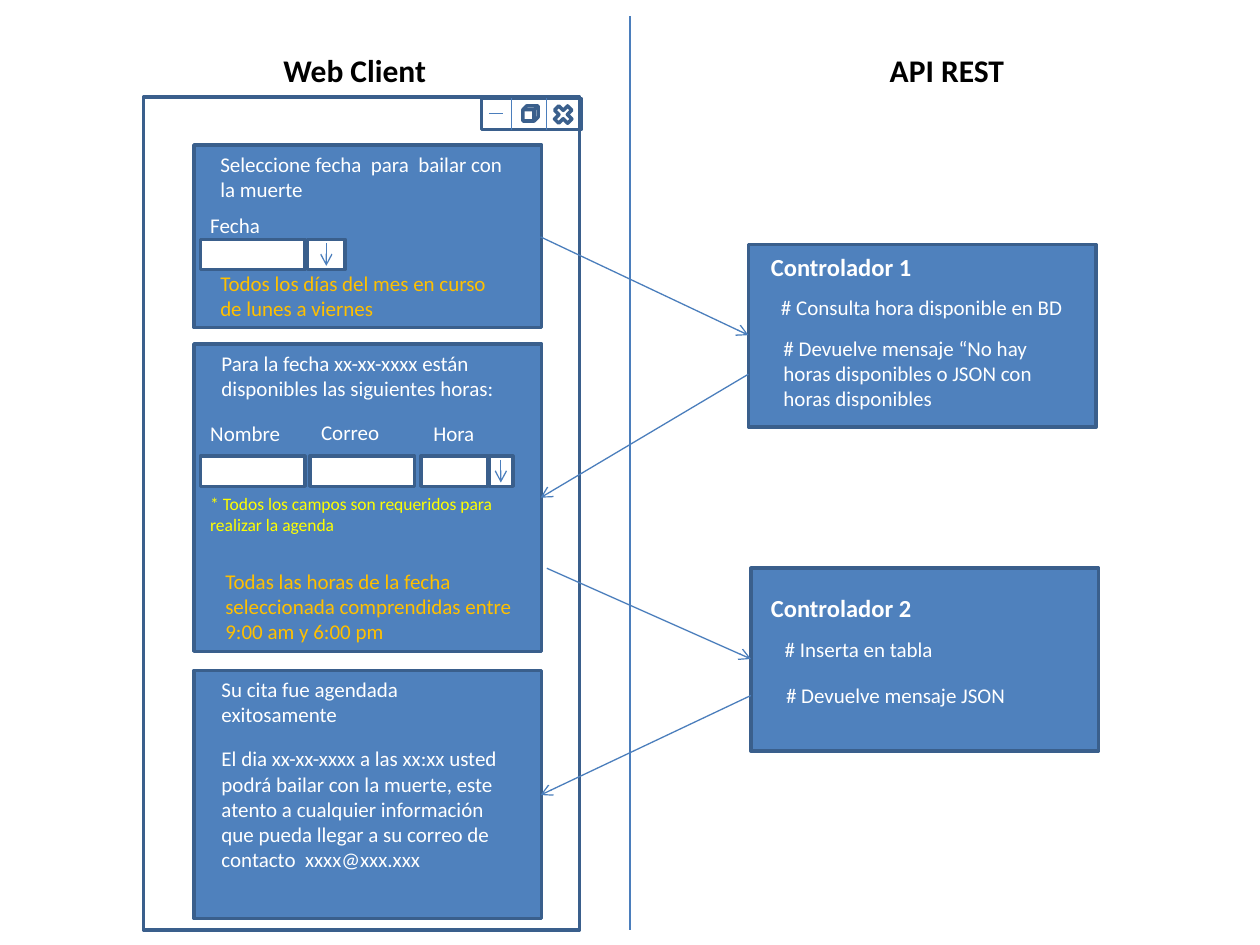
from pptx import Presentation
from pptx.dml.color import RGBColor as Rgb
from pptx.enum.shapes import MSO_CONNECTOR as Link, MSO_SHAPE as Form
from pptx.enum.text import MSO_AUTO_SIZE as Fit, PP_ALIGN as Align
from pptx.oxml.ns import qn
from pptx.util import Inches, Pt
from lxml.etree import SubElement as Sub

WIDE, HIGH = Inches(10), Inches(7.5)
COLS, ROWS = 100, 75
HUES = {"ink": "000000", "paper": "FFFFFF", "panel": "4F81BD", "edge": "3A5F8C",
        "link": "4B7EBC", "rule": "FFC000", "note": "FFFF00"}
FONT = "Calibri"
PANEL = 27.6
FIELD = 2.4


def hue(name):
    return Rgb.from_string(HUES[name])


def col(n):
    return round(WIDE * n / COLS)


def row(n):
    return round(HIGH * n / ROWS)


def box(shapes, x, y, w, h, fill=None, form=Form.RECTANGLE):
    item = shapes.add_shape(form, col(x), row(y), col(w), row(h))
    item.shadow.inherit = False
    if fill:
        item.fill.solid()
        item.fill.fore_color.rgb = hue(fill)
    else:
        item.fill.background()
    item.line.color.rgb = hue("edge")
    item.line.width = Pt(2)


def line(shapes, x1, y1, x2, y2, arrow=False):
    item = shapes.add_connector(Link.STRAIGHT, col(x1), row(y1), col(x2), row(y2))
    item.line.color.rgb = hue("link")
    item.line.width = Pt(0.75)
    props = item._element.spPr
    if arrow:
        Sub(props.find(qn("a:ln")), qn("a:tailEnd"), type="arrow")
    Sub(props, qn("a:effectLst"))


def text(shapes, x, y, w, h, words, tone="paper", size=12, bold=False, align=Align.LEFT):
    frame = shapes.add_textbox(col(x), row(y), col(w), row(h)).text_frame
    frame.word_wrap = True
    frame.auto_size = Fit.SHAPE_TO_FIT_TEXT
    para = frame.paragraphs[0]
    para.alignment = align
    run = para.add_run()
    run.text = words
    font = run.font
    font.name, font.size, font.bold = FONT, Pt(size), bold
    font.color.rgb = hue(tone)


def title(shapes, x, words):
    text(shapes, x, 3.6, 18.9, 4, words, "ink", 18, True, Align.CENTER)


def picker(shapes, x, y, w, drop, gap):
    group = shapes.add_group_shape().shapes
    side = x + w + gap
    box(group, x, y, w, FIELD, "paper")
    box(group, side, y, drop, FIELD, "paper")
    mid = side + drop / 2
    line(group, mid, y + 0.3, mid, y + 2.1, True)


def window(shapes):
    box(shapes, 11.4, 7.7, 34.6, 66.1)
    for y, h in ((11.5, 14.5), (27.3, 24.4), (53.2, 19.7)):
        box(shapes, 15.4, y, PANEL, h, "panel")


def buttons(shapes):
    group = shapes.add_group_shape().shapes
    box(group, 38.2, 7.8, 7.9, 2.5)
    for x in (40.6, 43.4):
        line(group, x, 7.8, x, 10.3)
    line(group, 38.8, 9, 39.9, 9)
    box(group, 41.5, 8.4, 1.2, 1.2, form=Form.CUBE)
    box(group, 43.7, 8.1, 2, 2, form=Form.MATH_MULTIPLY)


def dates(shapes):
    text(shapes, 16.5, 21, 24.4, 5, "Todos los días del mes en curso de lunes a viernes", "rule")
    picker(shapes, 15.9, 19, 8.3, 3, 0.2)
    text(shapes, 16.5, 11.5, 24.4, 5, "Seleccione fecha  para  bailar con la muerte")
    text(shapes, 15.7, 16.4, 8.5, 3, "Fecha")


def hours(shapes):
    for x in (15.9, 24.6):
        box(shapes, x, 36.2, 8.3, FIELD, "paper")
    picker(shapes, 33.4, 36.2, 5.3, 1.9, 0.1)
    text(shapes, 16.6, 27.3, 24.4, 5,
         "Para la fecha xx-xx-xxxx están disponibles las siguientes horas:")
    for x, y, name in ((15.7, 32.9, "Nombre"), (24.5, 32.8, "Correo"), (33.4, 32.9, "Hora")):
        text(shapes, x, y, 8.5, 3, name)
    text(shapes, 15.7, 38.6, 24.4, 4.4,
         "* Todos los campos son requeridos para realizar la agenda", "note", 10)
    text(shapes, 16.9, 44.6, 26, 7.1,
         "Todas las horas de la fecha seleccionada comprendidas entre 9:00 am y 6:00 pm", "rule")


def result(shapes):
    text(shapes, 16.6, 53.2, 24.4, 5, "Su cita fue agendada exitosamente")
    text(shapes, 16.6, 58.7, 24.4, 11.1,
         "El dia xx-xx-xxxx a las xx:xx usted podrá bailar con la muerte, este atento a "
         "cualquier información que pueda llegar a su correo de contacto  xxxx@xxx.xxx")


def control(shapes, x, y, head, top, steps):
    group = shapes.add_group_shape().shapes
    box(group, x, y, PANEL, 14.5, "panel")
    text(group, 60.2, top, 24.4, 3.4, head, size=14, bold=True)
    for left, at, h, words in steps:
        text(group, left, at, 24.4, h, words)


def main():
    deck = Presentation()
    deck.slide_width, deck.slide_height = WIDE, HIGH
    shapes = deck.slides.add_slide(deck.slide_layouts[6]).shapes
    line(shapes, 50, 1.3, 50, 73.8)
    title(shapes, 18.7, "Web Client")
    title(shapes, 65.7, "API REST")
    window(shapes)
    dates(shapes)
    hours(shapes)
    result(shapes)
    buttons(shapes)
    control(shapes, 59.4, 19.4, "Controlador 1", 19.5, (
        (61, 22.9, 3, "# Consulta hora disponible en BD"),
        (61.2, 26.1, 7.1,
         "# Devuelve mensaje “No hay horas disponibles o JSON con horas disponibles")))
    control(shapes, 59.6, 45.1, "Controlador 2", 46.6, (
        (61.3, 50, 3, "# Inserta en tabla"),
        (61.4, 53.7, 3, "# Devuelve mensaje JSON")))
    for ends in ((42.9, 18.8, 59.4, 26.6), (59.4, 29.7, 42.9, 39.5),
                 (43.4, 45.1, 59.6, 52.3), (59.6, 55.2, 42.9, 63.1)):
        line(shapes, *ends, arrow=True)
    deck.save("out.pptx")


main()
